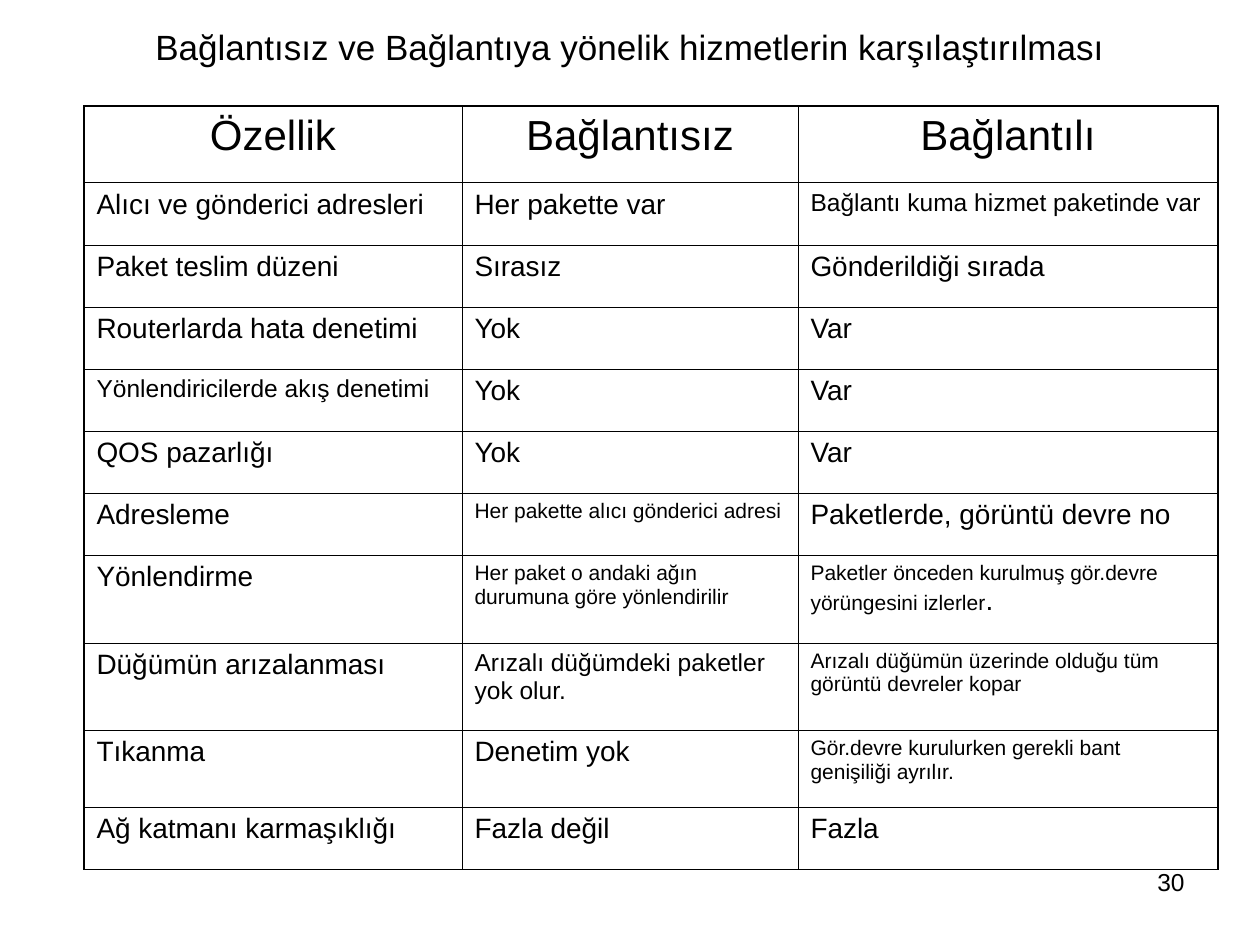
from lxml import etree
from pptx import Presentation
from pptx.dml.color import RGBColor
from pptx.enum.text import MSO_ANCHOR, MSO_AUTO_SIZE, PP_ALIGN
from pptx.oxml.ns import qn
from pptx.util import Pt

LEFT, CENTER, RIGHT = PP_ALIGN.LEFT, PP_ALIGN.CENTER, PP_ALIGN.RIGHT
TOP, MIDDLE = MSO_ANCHOR.TOP, MSO_ANCHOR.MIDDLE
NO_FIT = MSO_AUTO_SIZE.NONE
BLACK = RGBColor(0, 0, 0)
FONT = "Arial"
THICK, THIN = Pt(1.08), Pt(0.45)
BODY = 16

COLS = [216, 192, 240]
HEIGHTS = [44] + [35.5] * 6 + [50, 50, 44, 35.5]
HEAD = ["Özellik", "Bağlantısız", "Bağlantılı"]
# A cell is plain text in the body size, or a list of (text, size) runs.
ROWS = [
    ["Alıcı ve gönderici adresleri", "Her pakette var",
     [("Bağlantı kuma hizmet paketinde var", 14)]],
    ["Paket teslim düzeni", "Sırasız", "Gönderildiği sırada"],
    ["Routerlarda hata denetimi", "Yok", "Var"],
    [[("Yönlendiricilerde akış denetimi", 14)], "Yok", "Var"],
    ["QOS pazarlığı", "Yok", "Var"],
    ["Adresleme", [("Her pakette alıcı gönderici adresi", 12)],
     "Paketlerde, görüntü devre no"],
    ["Yönlendirme",
     [("Her paket o andaki ağın durumuna göre yönlendirilir", 12)],
     [("Paketler önceden kurulmuş gör.devre yörüngesini izlerler", 12),
      (".", 16)]],
    ["Düğümün arızalanması",
     [("Arızalı düğümdeki paketler yok olur.", 14)],
     [("Arızalı düğümün üzerinde olduğu tüm görüntü devreler kopar", 12)]],
    ["Tıkanma", "Denetim yok",
     [("Gör.devre kurulurken gerekli bant genişiliği ayrılır.", 12)]],
    ["Ağ katmanı karmaşıklığı", "Fazla değil", "Fazla"],
]


def write(frame, text, size=BODY, align=LEFT, anchor=TOP):
    """Fill a text frame with a string or a list of (text, size) runs."""
    frame.word_wrap = True
    frame.vertical_anchor = anchor
    para = frame.paragraphs[0]
    para.alignment = align
    runs = [(text, size)] if isinstance(text, str) else text
    for words, points in runs:
        run = para.add_run()
        run.text = words
        run.font.name = FONT
        run.font.size = Pt(points)
        run.font.color.rgb = BLACK


def add_title(slide, text):
    title = slide.shapes.title
    title.left, title.top = Pt(36), Pt(21.6)
    title.width, title.height = Pt(648), Pt(10)
    frame = title.text_frame
    frame.auto_size = NO_FIT
    frame.margin_top = frame.margin_bottom = 0
    write(frame, text, size=20, align=CENTER, anchor=MIDDLE)


def set_edges(cell, widths):
    """Draw the cell borders; widths maps a side (L, R, T, B) to a width."""
    props = cell._tc.get_or_add_tcPr()
    for side in "LRTB":
        line = etree.SubElement(props, qn(f"a:ln{side}"), w=str(widths[side]))
        fill = etree.SubElement(line, qn("a:solidFill"))
        etree.SubElement(fill, qn("a:srgbClr"), val=str(BLACK))


def add_grid(slide):
    rows = [HEAD] + ROWS
    last_row, last_col = len(rows) - 1, len(COLS) - 1
    table = slide.shapes.add_table(
        len(rows), len(COLS), Pt(48), Pt(60.5),
        Pt(sum(COLS)), Pt(sum(HEIGHTS))).table
    table.first_row = table.horz_banding = False
    for col, width in zip(table.columns, COLS):
        col.width = Pt(width)
    for r, texts in enumerate(rows):
        table.rows[r].height = Pt(HEIGHTS[r])
        for c, text in enumerate(texts):
            cell = table.cell(r, c)
            set_edges(cell, {
                "L": THICK if c == 0 else THIN,
                "R": THICK if c == last_col else THIN,
                "T": THICK if r == 0 else THIN,
                "B": THICK if r == last_row else THIN,
            })
            cell.fill.background()
            if r == 0:
                write(cell.text_frame, text, size=24, align=CENTER)
            else:
                write(cell.text_frame, text)


def add_number(slide, text):
    box = slide.shapes.add_textbox(Pt(516), Pt(492), Pt(168), Pt(37.5))
    write(box.text_frame, text, size=14, align=RIGHT)


def main():
    deck = Presentation()
    deck.slide_width, deck.slide_height = Pt(720), Pt(540)
    slide = deck.slides.add_slide(deck.slide_layouts[5])
    add_title(slide, "Bağlantısız ve Bağlantıya yönelik "
                     "hizmetlerin karşılaştırılması")
    add_grid(slide)
    add_number(slide, "30")
    deck.save("out.pptx")


if __name__ == "__main__":
    main()
